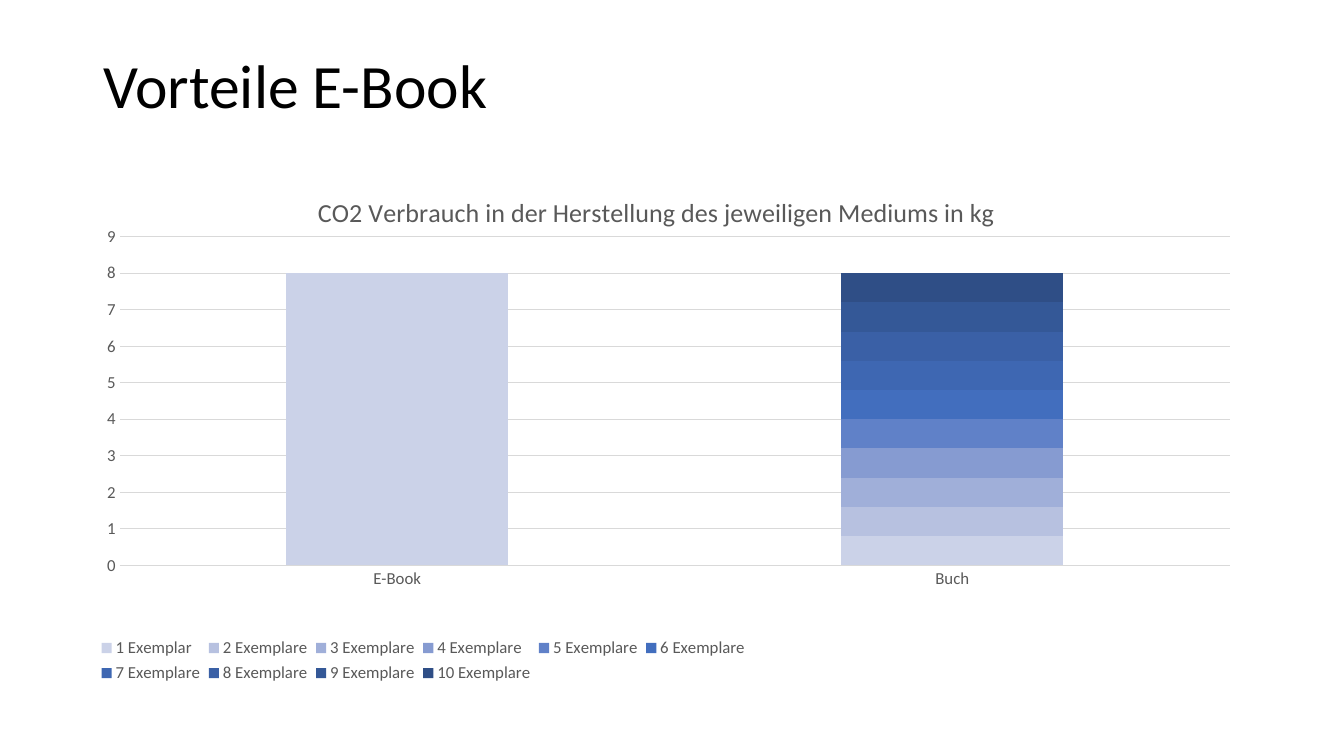
import pptx
import pptx.chart.data
import pptx.dml.color
import pptx.enum.chart
import pptx.enum.text
import pptx.oxml
import pptx.oxml.ns
import pptx.util

RGBColor = pptx.dml.color.RGBColor
BLACK = RGBColor(0x00, 0x00, 0x00)
TEXT_GREY = RGBColor(0x59, 0x59, 0x59)
GRID_GREY = RGBColor(0xD9, 0xD9, 0xD9)
COPY_BLUES = [
    RGBColor(0xCB, 0xD2, 0xE8), RGBColor(0xB7, 0xC1, 0xE0),
    RGBColor(0xA0, 0xAF, 0xD9), RGBColor(0x86, 0x9B, 0xD1),
    RGBColor(0x60, 0x81, 0xC8), RGBColor(0x42, 0x6E, 0xBE),
    RGBColor(0x3E, 0x67, 0xB2), RGBColor(0x3A, 0x60, 0xA6),
    RGBColor(0x34, 0x58, 0x97), RGBColor(0x2F, 0x4E, 0x86),
]
EBOOK_KG = 8
BOOK_KG = 0.8


def px(length):
    return pptx.util.Emu(round(length * 914400 / 100.8))


def place_chart_part(element, index, x, y, width=None, height=None, inner=False):
    """Give a chart part a manual layout, in fractions of the chart area."""
    for old_layout in element.findall(pptx.oxml.ns.qn("c:layout")):
        element.remove(old_layout)
    values = [("xMode", "edge"), ("yMode", "edge"), ("x", x), ("y", y)]
    if inner:
        values.insert(0, ("layoutTarget", "inner"))
    if width is not None:
        values += [("w", width), ("h", height)]
    settings = "".join(f'<c:{name} val="{value}"/>' for name, value in values)
    element.insert(index, pptx.oxml.parse_xml(
        f'<c:layout {pptx.oxml.ns.nsdecls("c")}>'
        f"<c:manualLayout>{settings}</c:manualLayout></c:layout>"))


class SlideBuilder:
    def __init__(self, presentation, font_name):
        self.font_name = font_name
        self.slide = presentation.slides.add_slide(presentation.slide_layouts[5])

    def style_font(self, font, size, color):
        font.name = self.font_name
        font.size = pptx.util.Pt(size)
        font.bold = False
        font.color.rgb = color

    def style_line(self, line):
        line.color.rgb = GRID_GREY
        line.width = pptx.util.Pt(0.75)

    def add_title(self, text, left, top, width, height):
        title = self.slide.shapes.title
        title.left, title.top = px(left), px(top)
        title.width, title.height = px(width), px(height)
        text_frame = title.text_frame
        text_frame.text = text
        text_frame.word_wrap = True
        text_frame.vertical_anchor = pptx.enum.text.MSO_ANCHOR.MIDDLE
        paragraph = text_frame.paragraphs[0]
        paragraph.alignment = pptx.enum.text.PP_ALIGN.LEFT
        paragraph.line_spacing = 0.9
        self.style_font(paragraph.runs[0].font, 44, BLACK)

    def add_stacked_columns(self, heading, data, colors, left, top, width, height):
        chart = self.slide.shapes.add_chart(
            pptx.enum.chart.XL_CHART_TYPE.COLUMN_STACKED,
            px(left), px(top), px(width), px(height), data).chart
        self.style_font(chart.font, 12, TEXT_GREY)

        plot = chart.plots[0]
        plot.gap_width = 150
        plot.overlap = 100
        plot.vary_by_categories = False
        for series, color in zip(plot.series, colors):
            series.format.fill.solid()
            series.format.fill.fore_color.rgb = color
        plot_area = chart.element.xpath("c:chart/c:plotArea")[0]
        place_chart_part(plot_area, 0, 0.023, 0.135, 0.958, 0.593, inner=True)

        self.style_axes(chart)
        self.add_chart_heading(chart, heading)
        self.add_legend(chart)

    def style_axes(self, chart):
        for axis in (chart.category_axis, chart.value_axis):
            axis.major_tick_mark = pptx.enum.chart.XL_TICK_MARK.NONE
            axis.minor_tick_mark = pptx.enum.chart.XL_TICK_MARK.NONE
            self.style_font(axis.tick_labels.font, 12, TEXT_GREY)
        self.style_line(chart.category_axis.format.line)
        value_axis = chart.value_axis
        value_axis.minimum_scale = 0
        value_axis.maximum_scale = 9
        value_axis.major_unit = 1
        value_axis.format.line.fill.background()
        self.style_line(value_axis.major_gridlines.format.line)

    def add_chart_heading(self, chart, heading):
        chart.has_title = True
        text_frame = chart.chart_title.text_frame
        text_frame.text = heading
        self.style_font(text_frame.paragraphs[0].runs[0].font, 18.6, TEXT_GREY)
        place_chart_part(chart.element.xpath("c:chart/c:title")[0], 1, 0.19, 0.05)

    def add_legend(self, chart):
        chart.has_legend = True
        chart.legend.position = pptx.enum.chart.XL_LEGEND_POSITION.BOTTOM
        chart.legend.include_in_layout = False
        self.style_font(chart.legend.font, 12, TEXT_GREY)
        legend = chart.element.xpath("c:chart/c:legend")[0]
        place_chart_part(legend, 1, 0.0, 0.85, 0.57, 0.1)


def main():
    presentation = pptx.Presentation()
    presentation.slide_width, presentation.slide_height = px(1344), px(756)

    emissions = pptx.chart.data.CategoryChartData()
    emissions.categories = ["E-Book", "Buch"]
    for count in range(1, len(COPY_BLUES) + 1):
        name = "1 Exemplar" if count == 1 else f"{count} Exemplare"
        ebook_value = EBOOK_KG if count == 1 else None
        emissions.add_series(name, (ebook_value, BOOK_KG))

    builder = SlideBuilder(presentation, "Calibri")
    builder.add_title("Vorteile E-Book", 93, 16, 1159, 146)
    builder.add_stacked_columns(
        "CO2 Verbrauch in der Herstellung des jeweiligen Mediums in kg",
        emissions, COPY_BLUES, 93, 162, 1159, 554)
    presentation.save("out.pptx")


if __name__ == "__main__":
    main()
